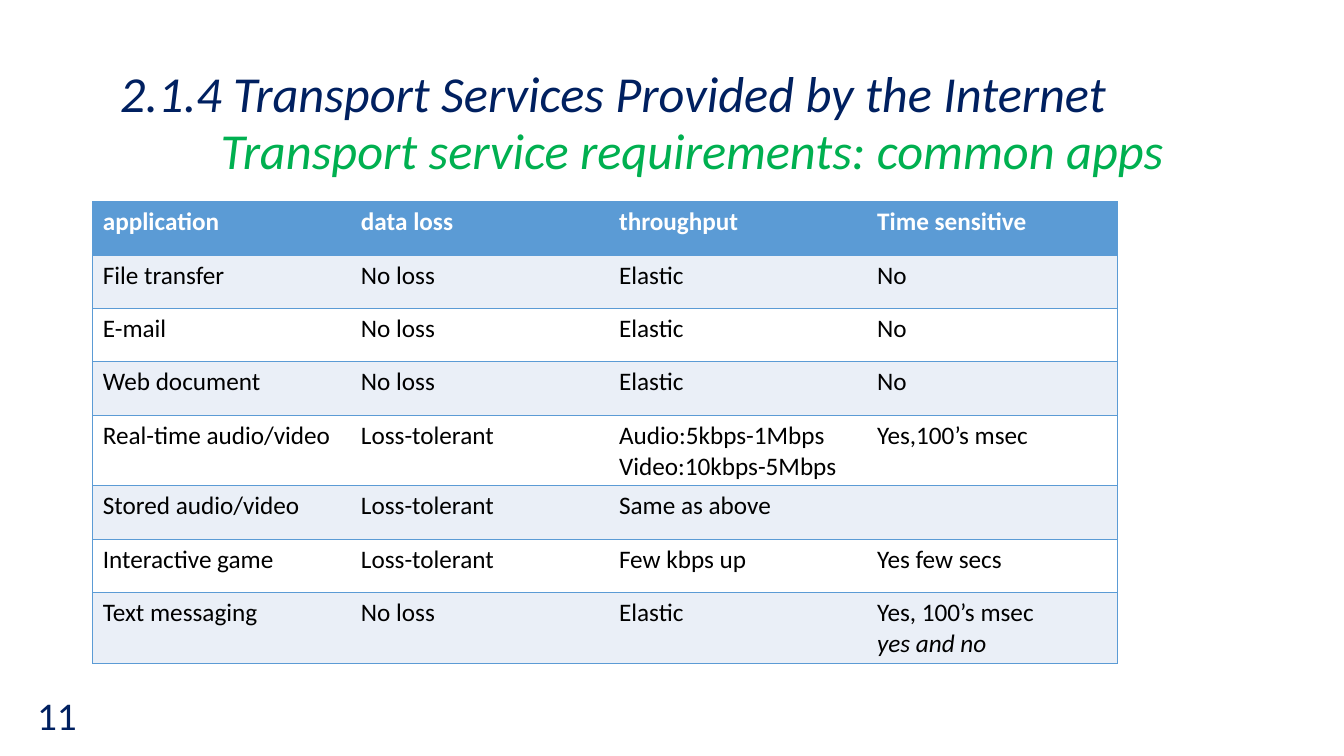
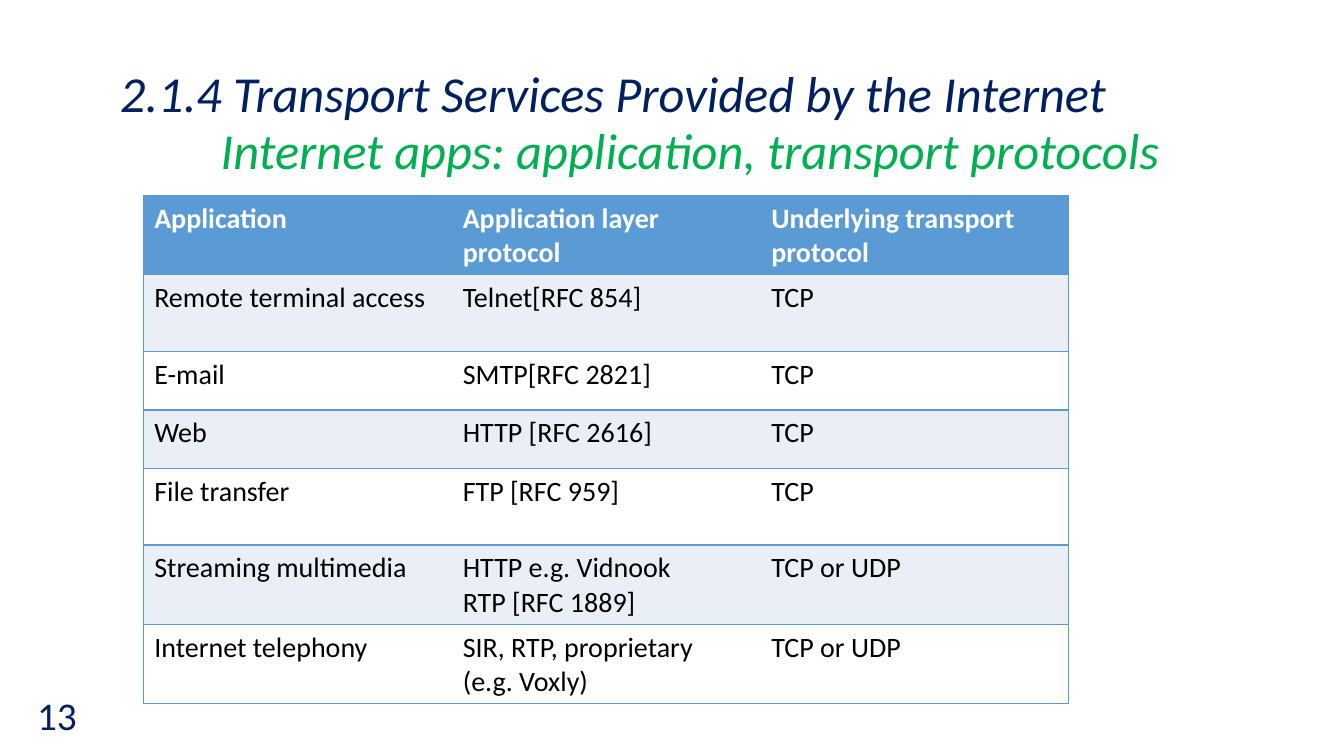
from dataclasses import dataclass

from lxml.etree import SubElement
from pptx import Presentation
from pptx.dml.color import RGBColor
from pptx.enum.text import MSO_ANCHOR as Anchor, PP_ALIGN as Align
from pptx.oxml.ns import qn
from pptx.util import Inches, Pt


@dataclass(frozen=True)
class Theme:
    font: str = "Calibri"
    navy: str = "002060"
    green: str = "00B050"
    blue: str = "5B9BD5"
    band: str = "EAEFF7"
    white: str = "FFFFFF"
    black: str = "000000"
    title_size: int = 36
    number_size: int = 28


theme = Theme()


def format_paragraph(paragraph, size, color, bold=False, italic=False):
    for run in paragraph.runs:
        run.font.name = theme.font
        run.font.size = Pt(size)
        run.font.color.rgb = RGBColor.from_string(color)
        run.font.bold = bold
        run.font.italic = italic


def add_border(cell, side, visible):
    line = SubElement(cell._tc.get_or_add_tcPr(), qn(f"a:ln{side}"), w=str(Pt(1)))
    if visible:
        SubElement(SubElement(line, qn("a:solidFill")), qn("a:srgbClr"), val=theme.blue)
    else:
        SubElement(line, qn("a:noFill"))


pages = [
    {
        "number": "11",
        "subtitle": "Transport service requirements: common apps",
        "left": 0.92,
        "top": 2,
        "columns": [2.56, 2.56, 2.56, 2.48],
        "heights": [0.53] * 8,
        "size": 18,
        "margins": (0.1, 0.05),
        "rows": [
            ["application", "data loss", "throughput", "Time sensitive"],
            ["File transfer", "No loss", "Elastic", "No"],
            ["E-mail", "No loss", "Elastic", "No"],
            ["Web document", "No loss", "Elastic", "No"],
            ["Real-time audio/video", "Loss-tolerant",
             "Audio:5kbps-1Mbps\nVideo:10kbps-5Mbps", "Yes,100’s msec"],
            ["Stored audio/video", "Loss-tolerant", "Same as above", ""],
            ["Interactive game", "Loss-tolerant", "Few kbps up", "Yes few secs"],
            ["Text messaging", "No loss", "Elastic", "Yes, 100’s msec\nyes and no"],
        ],
    },
    {
        "number": "13",
        "subtitle": "Internet apps: application, transport protocols",
        "left": 1.42,
        "top": 1.94,
        "columns": [3.06] * 3,
        "heights": [0.76, 0.76, 0.58, 0.58, 0.76, 0.58, 0.58],
        "size": 20,
        "margins": (0.11, 0.06),
        "rows": [
            ["Application", "Application layer protocol", "Underlying transport protocol"],
            ["Remote terminal access", "Telnet[RFC 854]", "TCP"],
            ["E-mail", "SMTP[RFC 2821]", "TCP"],
            ["Web", "HTTP [RFC 2616]", "TCP"],
            ["File transfer", "FTP [RFC 959]", "TCP"],
            ["Streaming multimedia", "HTTP e.g. Vidnook\nRTP [RFC 1889]", "TCP or UDP"],
            ["Internet telephony", "SIR, RTP, proprietary\n(e.g. Voxly)", "TCP or UDP"],
        ],
    },
]

presentation = Presentation()
presentation.slide_width = Inches(13.33)
presentation.slide_height = Inches(7.5)

for page in pages:
    slide = presentation.slides.add_slide(presentation.slide_layouts[6])

    title = slide.shapes.add_textbox(Inches(1.09), Inches(0.62), Inches(11.46), Inches(1.23))
    title_frame = title.text_frame
    title_frame.word_wrap = True
    title_frame.vertical_anchor = Anchor.MIDDLE
    title_frame.text = "2.1.4 Transport Services Provided by the Internet\n" + page["subtitle"]
    for paragraph, color in zip(title_frame.paragraphs, (theme.navy, theme.green)):
        paragraph.line_spacing = 0.9
        format_paragraph(paragraph, theme.title_size, color, italic=True)
    subtitle = title_frame.paragraphs[1]
    subtitle.space_before = Pt(2)
    subtitle._p.get_or_add_pPr().set("marL", str(Inches(1)))

    number = slide.shapes.add_textbox(Inches(0), Inches(6.69), Inches(0.86), Inches(0.81))
    number_frame = number.text_frame
    number_frame.word_wrap = True
    number_frame.vertical_anchor = Anchor.MIDDLE
    number_frame.text = page["number"]
    number_frame.paragraphs[0].alignment = Align.RIGHT
    format_paragraph(number_frame.paragraphs[0], theme.number_size, theme.navy)

    rows, columns, heights = page["rows"], page["columns"], page["heights"]
    table = slide.shapes.add_table(
        len(rows), len(columns), Inches(page["left"]), Inches(page["top"]),
        Inches(sum(columns)), Inches(sum(heights))).table
    for column, width in zip(table.columns, columns):
        column.width = Inches(width)
    for row, height in zip(table.rows, heights):
        row.height = Inches(height)

    side_margin, end_margin = (Inches(margin) for margin in page["margins"])
    for row_index, texts in enumerate(rows):
        header = row_index == 0
        if header:
            fill = theme.blue
        else:
            fill = theme.band if row_index % 2 else theme.white
        for column_index, text in enumerate(texts):
            cell = table.cell(row_index, column_index)
            cell.margin_left = cell.margin_right = side_margin
            cell.margin_top = cell.margin_bottom = end_margin
            add_border(cell, "L", column_index == 0)
            add_border(cell, "R", column_index == len(columns) - 1)
            add_border(cell, "T", True)
            add_border(cell, "B", True)
            cell.fill.solid()
            cell.fill.fore_color.rgb = RGBColor.from_string(fill)
            cell.text_frame.text = text
            for paragraph in cell.text_frame.paragraphs:
                format_paragraph(paragraph, page["size"],
                                 theme.white if header else theme.black, bold=header,
                                 italic=paragraph.text == "yes and no")

presentation.save("out.pptx")
